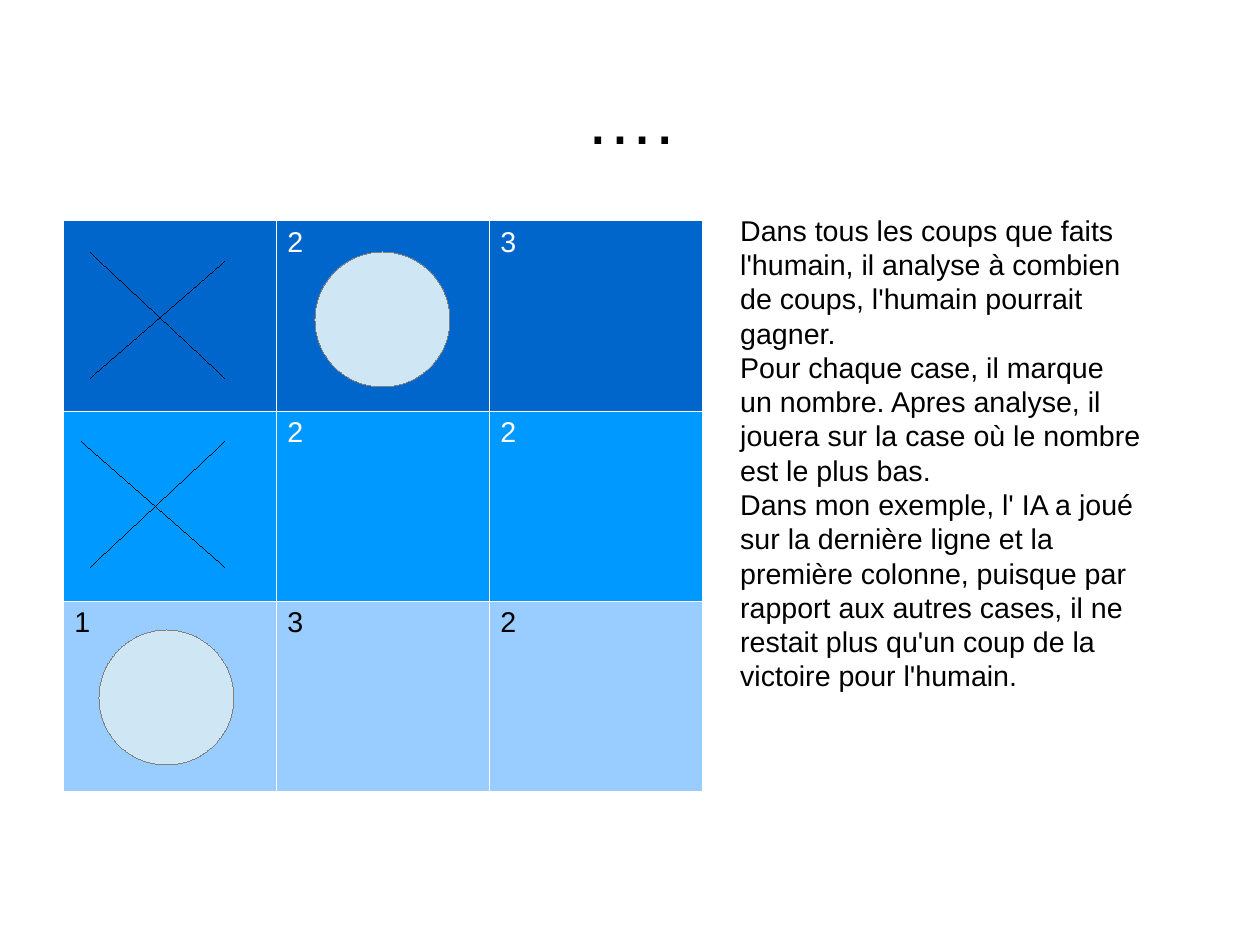
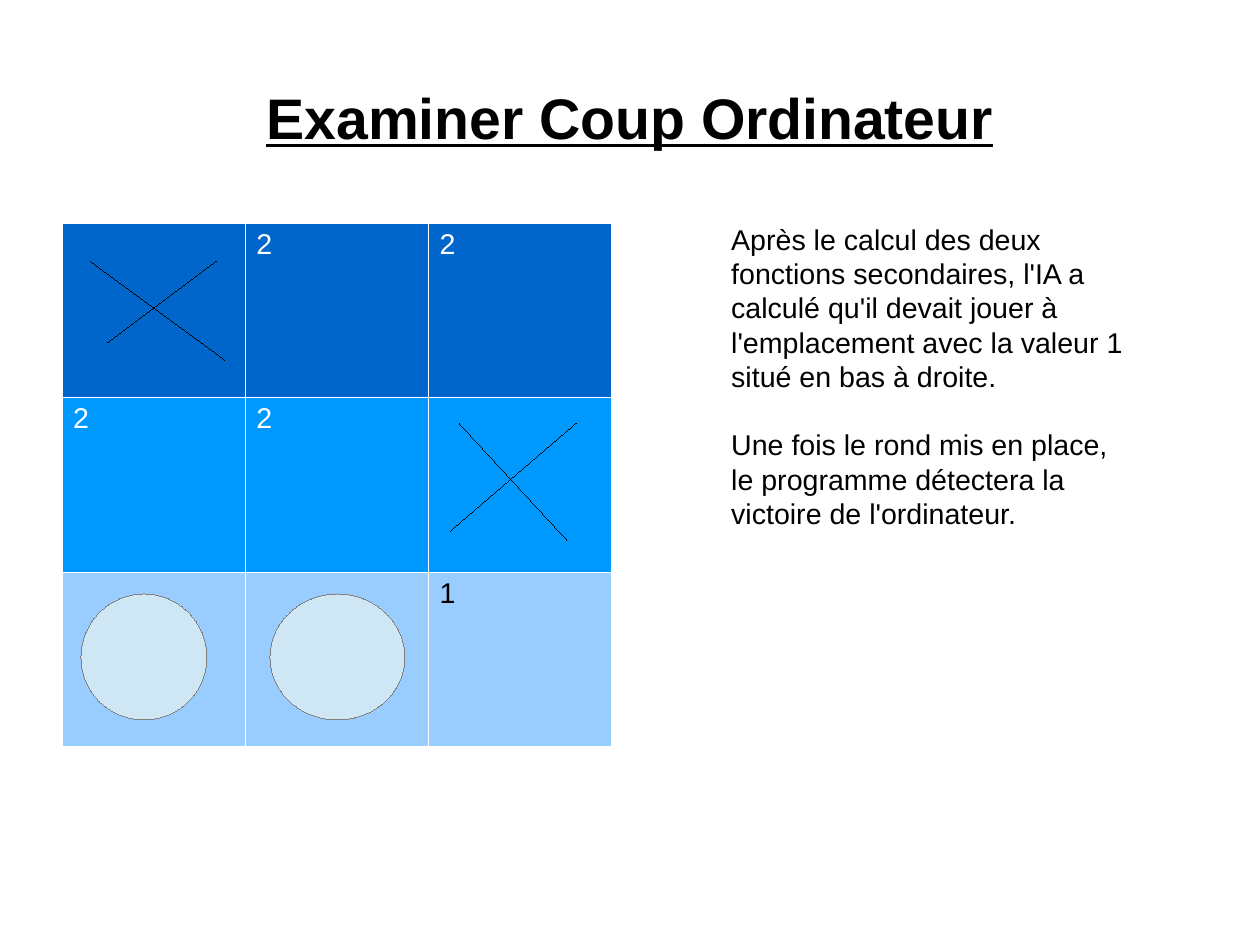
import lxml.etree
import pptx
import pptx.dml.color
import pptx.enum.shapes
import pptx.enum.text
import pptx.oxml.ns
import pptx.util

PX = 3600  # EMU per px, 100 px to the centimetre
COLOURS = {
    "ink": "000000",
    "paper": "FFFFFF",
    "row_top": "0066CC",
    "row_middle": "0099FF",
    "row_bottom": "99CCFF",
    "circle": "CFE7F5",
    "circle_edge": "808080",
}
ROW_STYLES = (("row_top", "paper"), ("row_middle", "paper"), ("row_bottom", "ink"))
FONT = "Arial"
TEXT_SIZE = 18
LINE_SPACING = 1.2
BORDER_WIDTH = 762
HAIRLINE = 1  # EMU; a width of 0 would fall back to the theme's line


def px(*lengths):
    return [pptx.util.Emu(length * PX) for length in lengths]


def rgb(name):
    return pptx.dml.color.RGBColor.from_string(COLOURS[name])


class Deck:
    """Holds the shared style and the slide being filled."""

    def __init__(self, width, height):
        self.presentation = pptx.Presentation()
        self.presentation.slide_width, self.presentation.slide_height = px(width, height)
        self.slide = None

    def add_slide(self, title, size, emphasis=False):
        layout = self.presentation.slide_layouts.get_by_name("Title Only")
        self.slide = self.presentation.slides.add_slide(layout)
        heading = self.slide.shapes.title
        heading.left, heading.top, heading.width, heading.height = px(140, 84, 2520, 350)
        frame = heading.text_frame
        frame.text = title
        frame.auto_size = pptx.enum.text.MSO_AUTO_SIZE.NONE
        frame.vertical_anchor = pptx.enum.text.MSO_ANCHOR.MIDDLE
        frame.margin_left = frame.margin_top = frame.margin_right = frame.margin_bottom = 0
        paragraph = frame.paragraphs[0]
        paragraph.alignment = pptx.enum.text.PP_ALIGN.CENTER
        paragraph.line_spacing = pptx.util.Pt(size * LINE_SPACING)
        self.format_runs(paragraph, size, "ink", emphasis)

    def format_runs(self, paragraph, size, colour, emphasis=False):
        for run in paragraph.runs:
            run.font.name = FONT
            run.font.size = pptx.util.Pt(size)
            run.font.color.rgb = rgb(colour)
            run.font.bold = run.font.underline = emphasis

    def format_line(self, line, colour):
        line.color.rgb = rgb(colour)
        line.width = HAIRLINE

    def add_board(self, left, top, width, height, marks):
        """Draw the game grid; marks gives the text of each cell, row by row."""
        board = self.slide.shapes.add_table(3, 3, *px(left, top, width, height)).table
        board.first_row = board.horz_banding = False
        for row, (fill, ink), row_marks in zip(board.rows, ROW_STYLES, marks):
            for cell, mark in zip(row.cells, row_marks):
                cell.text_frame.text = mark
                self.format_runs(cell.text_frame.paragraphs[0], TEXT_SIZE, ink)
                self.add_borders(cell)
                cell.fill.solid()
                cell.fill.fore_color.rgb = rgb(fill)

    def add_borders(self, cell):
        qn = pptx.oxml.ns.qn
        properties = cell._tc.get_or_add_tcPr()
        for side in ("a:lnL", "a:lnR", "a:lnT", "a:lnB"):
            border = lxml.etree.SubElement(properties, qn(side), w=str(BORDER_WIDTH))
            fill = lxml.etree.SubElement(border, qn("a:solidFill"))
            lxml.etree.SubElement(fill, qn("a:srgbClr"), val=COLOURS["paper"])

    def add_cross(self, *strokes):
        """Draw strokes, each given as x and y of its start, then of its end."""
        for ends in strokes:
            stroke = self.slide.shapes.add_connector(
                pptx.enum.shapes.MSO_CONNECTOR.STRAIGHT, *px(*ends))
            self.format_line(stroke.line, "ink")
            lxml.etree.SubElement(stroke._element.spPr, pptx.oxml.ns.qn("a:effectLst"))

    def add_circle(self, left, top, width, height):
        circle = self.slide.shapes.add_shape(
            pptx.enum.shapes.MSO_SHAPE.OVAL, *px(left, top, width, height))
        circle.shadow.inherit = False
        circle.fill.solid()
        circle.fill.fore_color.rgb = rgb("circle")
        self.format_line(circle.line, "circle_edge")

    def add_explanation(self, left, top, width, height, paragraphs, gap=0):
        frame = self.slide.shapes.add_textbox(*px(left, top, width, height)).text_frame
        frame.word_wrap = True
        for index, text in enumerate(paragraphs):
            paragraph = frame.add_paragraph() if index else frame.paragraphs[0]
            paragraph.text = text
            paragraph.line_spacing = pptx.util.Pt(TEXT_SIZE * LINE_SPACING)
            paragraph.space_before = pptx.util.Pt(gap if index else 0)
            self.format_runs(paragraph, TEXT_SIZE, "ink")


def main():
    deck = Deck(2800, 2100)

    deck.add_slide("….", 44)
    deck.add_board(140, 490, 1420, 1268, (("", "2", "3"), ("", "2", "2"), ("1", "3", "2")))
    deck.add_cross((200, 560, 500, 840), (200, 840, 500, 580))
    deck.add_circle(700, 560, 300, 300)
    deck.add_cross((180, 980, 500, 1260), (200, 1260, 500, 980))
    deck.add_circle(220, 1400, 300, 300)
    deck.add_explanation(1620, 460, 940, 1021, (
        "Dans tous les coups que faits l'humain, il analyse à combien de coups, "
        "l'humain pourrait gagner.",
        "Pour chaque case, il marque un nombre. Apres analyse, il jouera sur la case "
        "où le nombre est le plus bas.",
        "Dans mon exemple, l' IA a joué sur la dernière ligne et la première colonne, "
        "puisque par rapport aux autres cases, il ne restait plus qu'un coup de la "
        "victoire pour l'humain.",
    ))

    deck.add_slide("Examiner Coup Ordinateur", 36, emphasis=True)
    deck.add_board(137, 495, 1222, 1164, (("", "2", "2"), ("2", "2", ""), ("", "", "1")))
    deck.add_cross((200, 580, 500, 800), (240, 760, 480, 580))
    deck.add_explanation(1600, 480, 940, 665, (
        "Après le calcul des deux fonctions secondaires, l'IA a calculé qu'il devait "
        "jouer à l'emplacement avec la valeur 1 situé en bas à droite.",
        "Une fois le rond mis en place, le programme détectera la victoire de "
        "l'ordinateur.",
    ), gap=TEXT_SIZE * LINE_SPACING)
    deck.add_cross((1020, 940, 1260, 1200), (1000, 1180, 1280, 940))
    deck.add_circle(180, 1320, 280, 280)
    deck.add_circle(600, 1320, 300, 280)

    deck.presentation.save("out.pptx")


if __name__ == "__main__":
    main()
